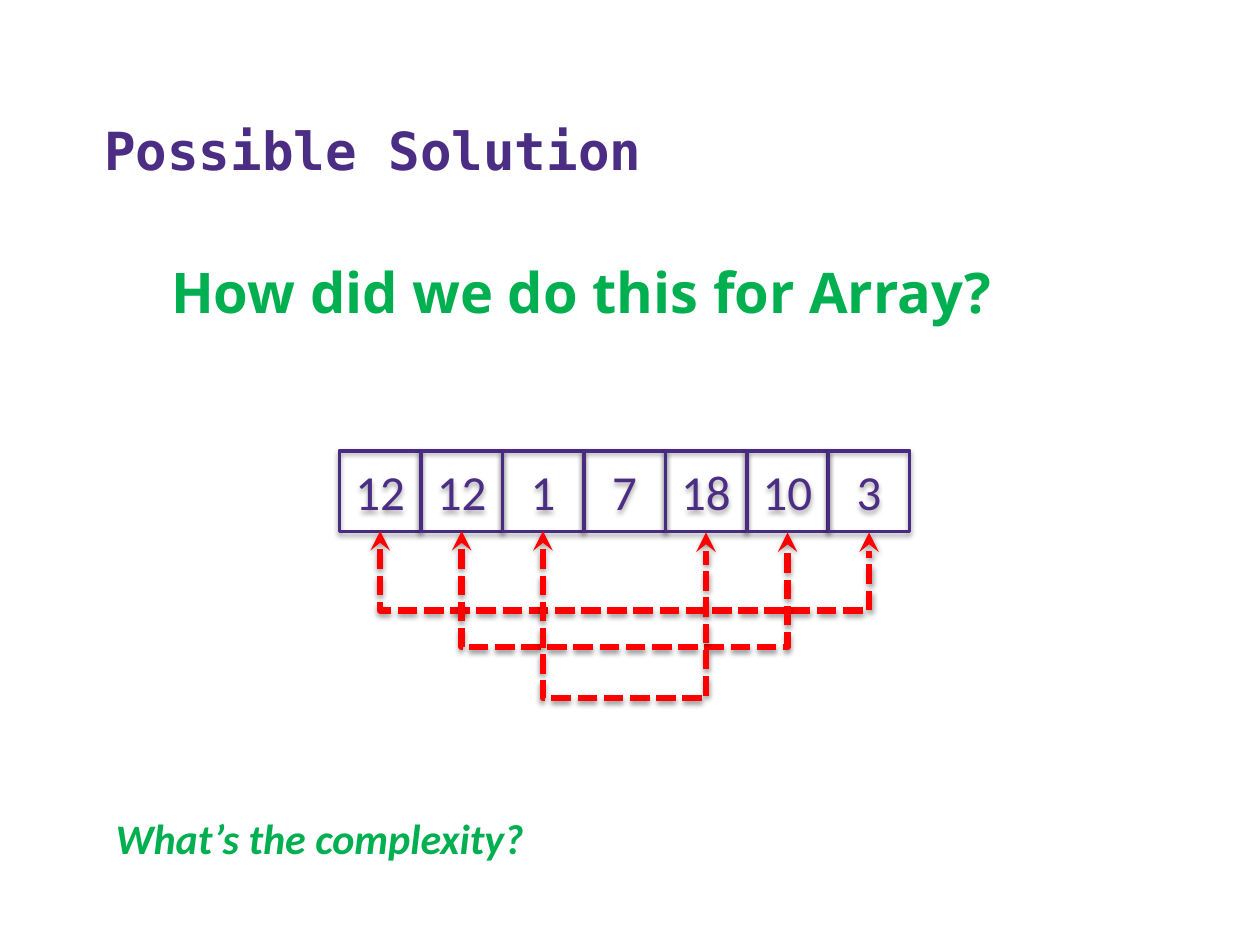
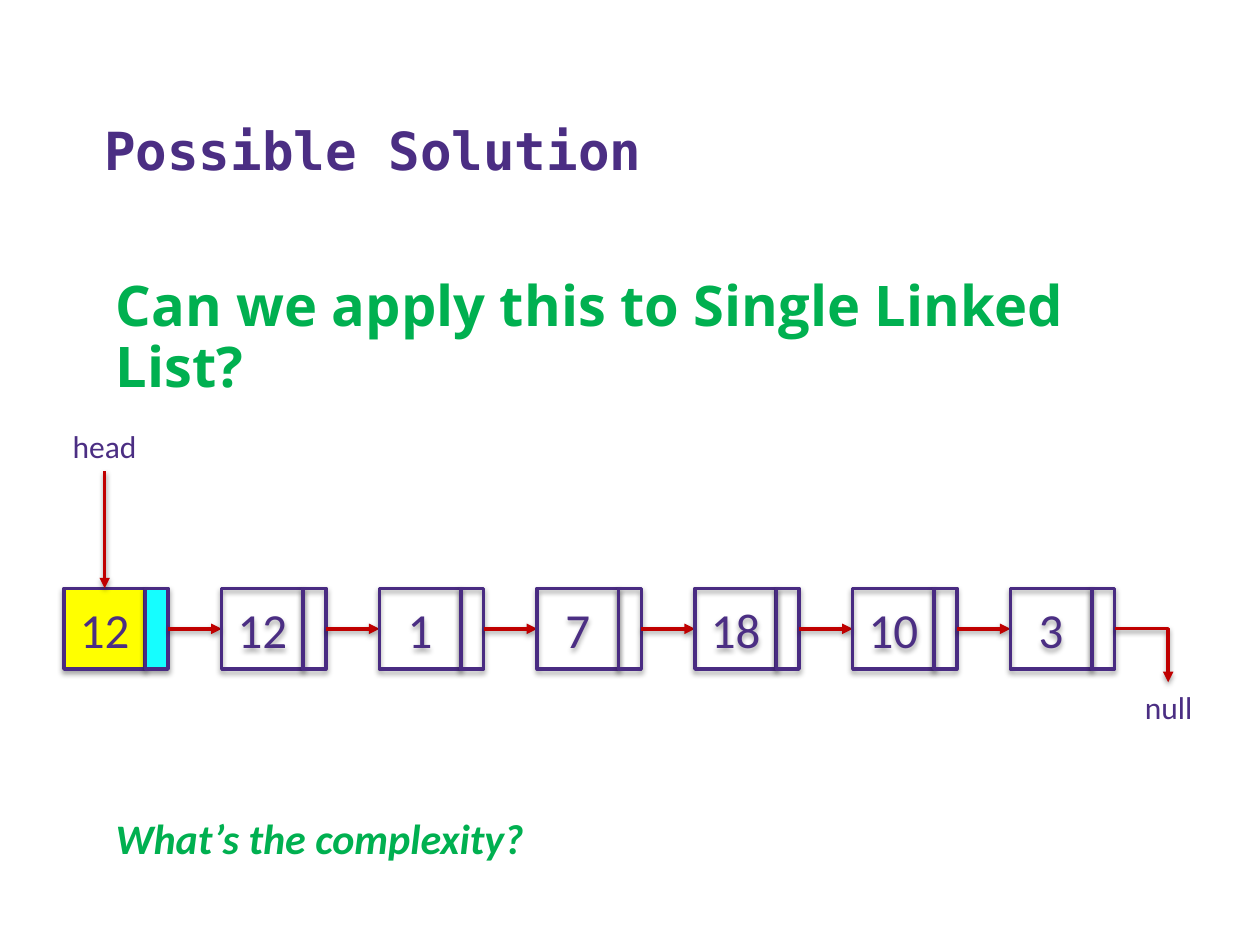
from dataclasses import dataclass

from lxml.etree import SubElement
from pptx import Presentation
from pptx.dml.color import RGBColor
from pptx.enum.dml import MSO_LINE
from pptx.enum.shapes import MSO_CONNECTOR as Link, MSO_SHAPE as Preset
from pptx.enum.text import MSO_ANCHOR as Anchor, PP_ALIGN as Align
from pptx.oxml.ns import qn
from pptx.util import Cm, Pt


@dataclass(frozen=True)
class TextStyle:
    font: str
    size: int
    color: str
    bold: bool = False
    italic: bool = False


@dataclass(frozen=True)
class Theme:
    outline: str = "492B82"
    swap: str = "FF0000"
    pointer: str = "C00000"
    head_cell: str = "FFFF00"
    head_link: str = "15FEFF"
    outline_width: float = 2
    swap_width: float = 3.75
    title: TextStyle = TextStyle("DejaVu Sans Mono", 30, "4B2E83", bold=True)
    question: TextStyle = TextStyle("Open Sans", 32, "00B050", bold=True)
    prompt: TextStyle = TextStyle("Calibri", 24, "00B050", bold=True, italic=True)
    value: TextStyle = TextStyle("Calibri", 28, "4B2E83")
    label: TextStyle = TextStyle("Calibri", 18, "4B2E83")


THEME = Theme()
VALUES = ["12", "12", "1", "7", "18", "10", "3"]
CELL_WIDTH, CELL_HEIGHT, LINK_WIDTH = 1.64, 1.63, 0.46


def write(frame, text, style, align=Align.LEFT, anchor=Anchor.TOP, spacing=1.0):
    frame.word_wrap = True
    frame.vertical_anchor = anchor
    para = frame.paragraphs[0]
    para.alignment = align
    para.line_spacing = spacing
    span = para.add_run()
    span.text = text
    font = span.font
    font.name, font.size = style.font, Pt(style.size)
    font.bold, font.italic = style.bold, style.italic
    font.color.rgb = RGBColor.from_string(style.color)


def add_text(page, left, top, width, height, text, style, **layout):
    box = page.shapes.add_textbox(Cm(left), Cm(top), Cm(width), Cm(height))
    write(box.text_frame, text, style, **layout)


def set_line(line, color, width):
    line.color.rgb = RGBColor.from_string(color)
    line.width = Pt(width)


def add_shadow(item, distance, opacity):
    effects = SubElement(item._element.spPr, qn("a:effectLst"))
    shadow = SubElement(effects, qn("a:outerShdw"), blurRad=str(Pt(3.1)),
                        dist=str(Pt(distance)), dir="5400000", rotWithShape="0")
    color = SubElement(shadow, qn("a:srgbClr"), val="000000")
    SubElement(color, qn("a:alpha"), val=str(opacity * 1000))


def add_cell(page, left, top, width, text="", fill=None):
    cell = page.shapes.add_shape(Preset.RECTANGLE, Cm(left), Cm(top), Cm(width), Cm(CELL_HEIGHT))
    if fill:
        cell.fill.solid()
        cell.fill.fore_color.rgb = RGBColor.from_string(fill)
    else:
        cell.fill.background()
    set_line(cell.line, THEME.outline, THEME.outline_width)
    add_shadow(cell, 1.8, 35)
    if text:
        write(cell.text_frame, text, THEME.value, Align.CENTER, Anchor.MIDDLE)


def add_link(page, kind, start, end, color, width, dash=None, **arrowheads):
    points = [Cm(value) for value in (*start, *end)]
    link = page.shapes.add_connector(kind, *points)
    set_line(link.line, color, width)
    if dash:
        link.line.dash_style = dash
    outline = link._element.spPr.find(qn("a:ln"))
    for place, arrow in arrowheads.items():
        SubElement(outline, qn(f"a:{place}"), type=arrow)
    add_shadow(link, 1.6, 38)
    return link


def add_pointer(page, start, end, kind=Link.STRAIGHT):
    return add_link(page, kind, start, end, THEME.pointer, THEME.outline_width, tailEnd="triangle")


def add_corner_pointer(page, start, end):
    pointer = add_pointer(page, start, end, Link.ELBOW)
    pointer._element.spPr.find(qn("a:prstGeom")).set("prst", "bentConnector2")


def add_swap(page, left, right, top, depth):
    thickness = 0.03
    middle, span = (left + right) / 2, right - left
    swap = add_link(page, Link.ELBOW,
                    (middle + thickness / 2, top - span / 2),
                    (middle - thickness / 2, top + span / 2),
                    THEME.swap, THEME.swap_width, MSO_LINE.SQUARE_DOT,
                    headEnd="stealth", tailEnd="stealth")
    properties = swap._element.spPr
    properties.find(qn("a:xfrm")).set("rot", str(270 * 60000))
    guides = properties.find(qn("a:prstGeom")).find(qn("a:avLst"))
    SubElement(guides, qn("a:gd"), name="adj1", fmla=f"val {round(depth / thickness * 100000)}")


def add_page(deck, question, left, top, width):
    page = deck.slides.add_slide(deck.slide_layouts[6])
    add_text(page, 1.85, 1.04, 22.73, 2.74, "Possible Solution", THEME.title, anchor=Anchor.BOTTOM)
    add_text(page, left, top, width, 1.6, question, THEME.question, spacing=0.9)
    add_text(page, 2.08, 16.26, 8.81, 1.27, "What’s the complexity?", THEME.prompt)
    return page


def add_array(page, left, top, width):
    step = width / len(VALUES)
    for index, value in enumerate(VALUES):
        add_cell(page, left + index * step, top, step, value)
    for index, depth in enumerate([1.6, 2.34, 3.37]):
        first = left + (index + 0.5) * step
        last = left + (len(VALUES) - index - 0.5) * step
        add_swap(page, first, last, top + CELL_HEIGHT, depth)


def add_linked_list(page, left, top, pitch):
    middle = top + CELL_HEIGHT / 2
    node_width = CELL_WIDTH + LINK_WIDTH
    gap = pitch - node_width
    for index, value in enumerate(VALUES):
        x = left + index * pitch
        is_head = index == 0
        add_cell(page, x, top, CELL_WIDTH, value, THEME.head_cell if is_head else None)
        add_cell(page, x + CELL_WIDTH, top, LINK_WIDTH, fill=THEME.head_link if is_head else None)
        out = x + node_width
        if index < len(VALUES) - 1:
            add_pointer(page, (out, middle), (out + gap, middle))
        else:
            add_corner_pointer(page, (out, middle), (out + gap, middle + gap))
            add_text(page, out + 0.36, middle + gap, 1.47, 1.02, "null", THEME.label)
    head = left + CELL_WIDTH / 2
    add_text(page, head - 1.04, top - 3.38, 2.08, 1.02, "head", THEME.label, align=Align.CENTER)
    add_pointer(page, (head, top - 2.36), (head, top))


def main():
    deck = Presentation()
    deck.slide_width, deck.slide_height = Cm(25.4), Cm(19.05)
    array_page = add_page(deck, "How did we do this for Array?", 3.2, 5.21, 19)
    add_array(array_page, 6.84, 9.09, 11.5)
    list_page = add_page(deck, "Can we apply this to Single Linked List?", 2.08, 5.49, 21.44)
    add_linked_list(list_page, 1.29, 11.86, 3.18)
    deck.save("out.pptx")


if __name__ == "__main__":
    main()
